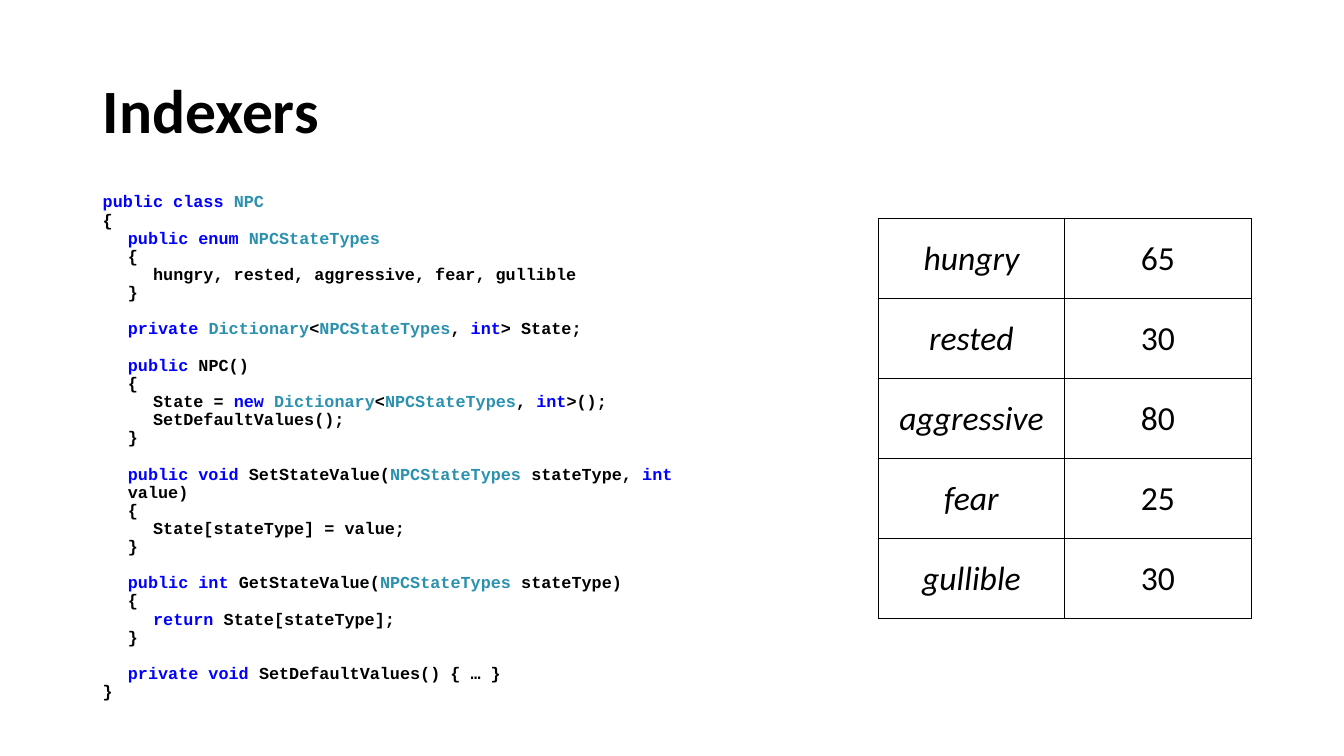
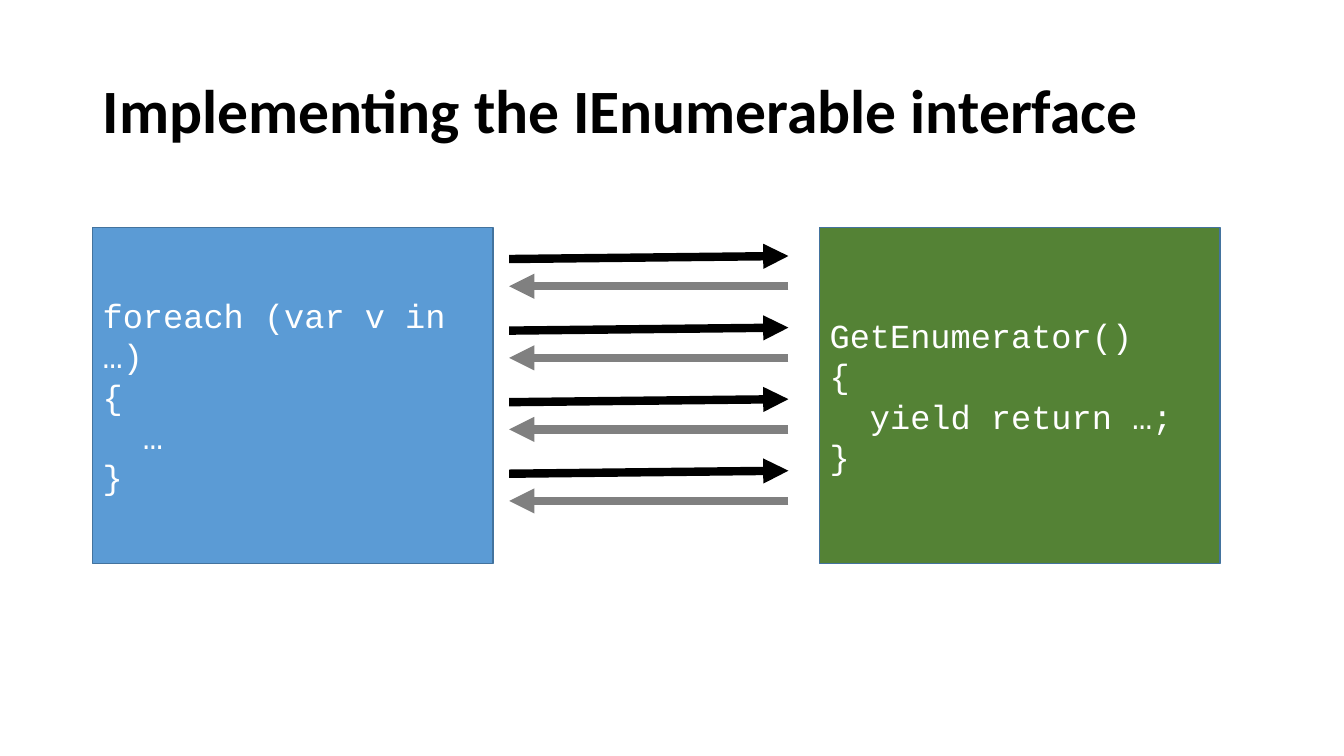
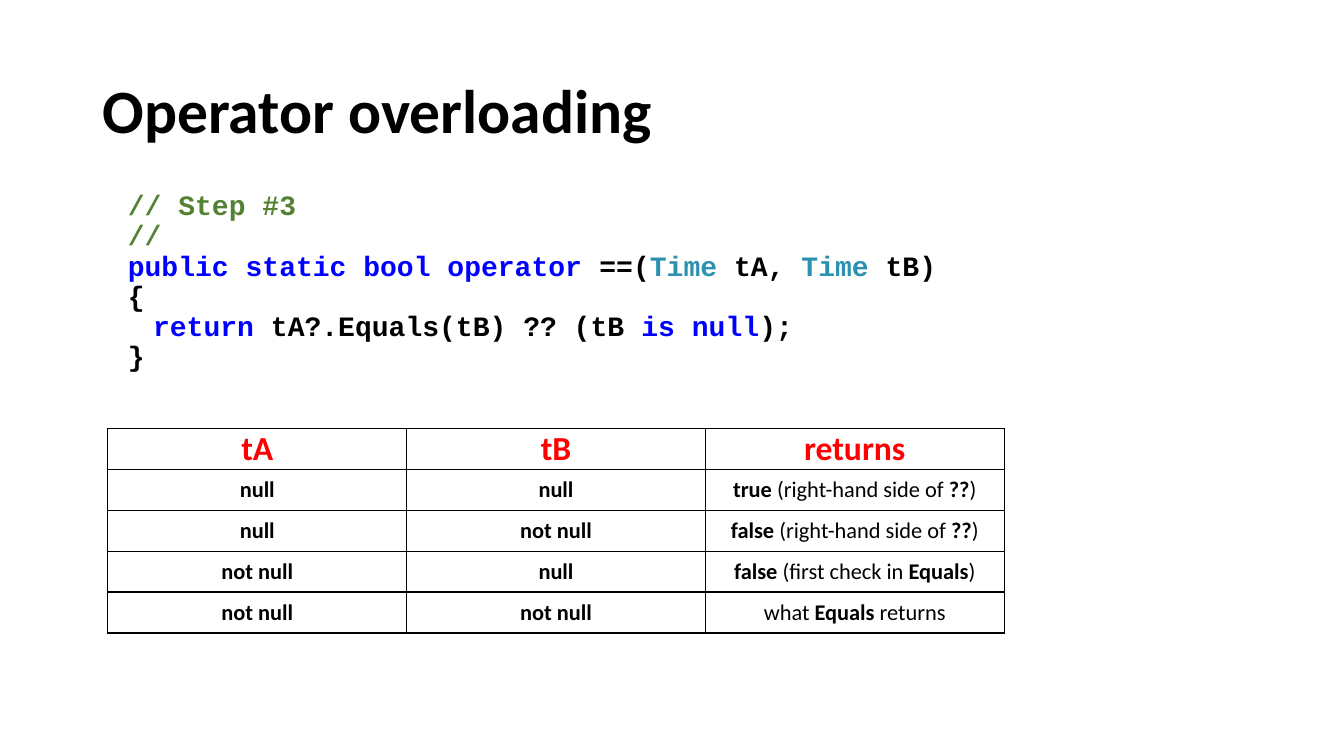
from itertools import groupby

from lxml import etree
from pptx import Presentation
from pptx.dml.color import RGBColor
from pptx.enum.shapes import MSO_CONNECTOR, MSO_SHAPE
from pptx.enum.text import MSO_ANCHOR, PP_ALIGN
from pptx.oxml.ns import qn
from pptx.util import Inches, Pt

RECTANGLE = MSO_SHAPE.RECTANGLE
STRAIGHT = MSO_CONNECTOR.STRAIGHT
TOP, MIDDLE = MSO_ANCHOR.TOP, MSO_ANCHOR.MIDDLE
LEFT, CENTER = PP_ALIGN.LEFT, PP_ALIGN.CENTER

COLORS = {
    "text": "000000", "white": "FFFFFF", "keyword": "0000FF", "type": "2B91AF",
    "comment": "548235", "header": "FF0000", "caller": "5B9BD5",
    "enumerator": "548235", "outline": "43739E", "reply": "808080",
}
BODY_FONT, CODE_FONT = "Calibri", "Courier New"
LINE_SPACING = 0.9
BLANK_LINE = 1.08
INDENT = 0.25
TITLE_BOX = (0.92, 0.4, 11.5, 1.45)

KEYWORDS = set("public private class enum int void new return static bool operator is null".split())
TYPES = {"NPC", "NPCStateTypes", "Dictionary", "Time"}

NPC_CODE = """
public class NPC
{
  public enum NPCStateTypes
  {
    hungry, rested, aggressive, fear, gullible
  }

  private Dictionary<NPCStateTypes, int> State;

  public NPC()
  {
    State = new Dictionary<NPCStateTypes, int>();
    SetDefaultValues();
  }

  public void SetStateValue(NPCStateTypes stateType, int value)
  {
    State[stateType] = value;
  }

  public int GetStateValue(NPCStateTypes stateType)
  {
    return State[stateType];
  }

  private void SetDefaultValues() { … }
}
"""
OPERATOR_CODE = """
  // Step #3
  //
  public static bool operator ==(Time tA, Time tB)
  {
    return tA?.Equals(tB) ?? (tB is null);
  }
"""
CALLER_CODE = "foreach (var v in …)\n{\n  …\n}"
ENUMERATOR_CODE = "GetEnumerator()\n{\n  yield return …;\n}"

STATE_ROWS = [("*hungry*", "65"), ("*rested*", "30"), ("*aggressive*", "80"),
              ("*fear*", "25"), ("*gullible*", "30")]
RESULT_ROWS = [
    ("*tA*", "*tB*", "*returns*"),
    ("*null*", "*null*", "*true* (right-hand side of *??*)"),
    ("*null*", "*not null*", "*false* (right-hand side of *??*)"),
    ("*not null*", "*null*", "*false* (first check in *Equals*)"),
    ("*not null*", "*not null*", "what *Equals* returns"),
]


def rgb(name):
    """Return the named colour."""
    return RGBColor.from_string(COLORS[name])


def inches(box):
    """Convert a sequence of numbers to lengths."""
    return [Inches(value) for value in box]


def add_span(para, text, size, color="text", **formats):
    """Add one formatted run to a paragraph."""
    span = para.add_run()
    span.text = text
    span.font.color.rgb = rgb(color)
    for key, value in {"name": BODY_FONT, "size": Pt(size), **formats}.items():
        setattr(span.font, key, value)


def add_text_box(page, box):
    """Add a wrapping text box and return its frame."""
    frame = page.shapes.add_textbox(*inches(box)).text_frame
    frame.word_wrap = True
    return frame


def add_page(deck, title):
    """Add a blank slide with the shared title style."""
    page = deck.slides.add_slide(deck.slide_layouts[6])
    frame = add_text_box(page, TITLE_BOX)
    frame.vertical_anchor = MIDDLE
    para = frame.paragraphs[0]
    para.line_spacing = LINE_SPACING
    add_span(para, title, 44, bold=True)
    return page


def highlight(line):
    """Split a code line into pairs of colour name and text."""
    if line.startswith("//"):
        return [("comment", line)]
    tokens = ["".join(part) for _, part in groupby(line, str.isalnum)]
    colored = []
    for token, following in zip(tokens, tokens[1:] + [""]):
        color = "text"
        if token in KEYWORDS:
            color = "keyword"
        elif token in TYPES and not following.startswith("("):
            color = "type"
        elif token == " " and colored:
            color = colored[-1][0]
        colored.append((color, token))
    return [(color, "".join(token for _, token in group))
            for color, group in groupby(colored, lambda pair: pair[0])]


def place_listing(page, box, code, size):
    """Place highlighted code, turning its indents into margins and blank lines into spacing."""
    frame = add_text_box(page, box)
    gap = 0
    for number, line in enumerate(code.strip("\n").split("\n")):
        text = line.lstrip()
        if not text:
            gap = size * BLANK_LINE
            continue
        para = frame.add_paragraph() if number else frame.paragraphs[0]
        level = (len(line) - len(text)) // 2
        properties = para._p.get_or_add_pPr()
        properties.set("marL", str(Inches(INDENT * level)))
        properties.set("indent", "0")
        para.line_spacing, para.space_before = LINE_SPACING, Pt(gap)
        gap = 0
        for color, part in highlight(text):
            add_span(para, part, size, color, name=CODE_FONT, bold=True)


def add_borders(cell):
    """Draw a thin line on every side of a table cell."""
    properties = cell._tc.get_or_add_tcPr()
    for side in ("lnL", "lnR", "lnT", "lnB"):
        line = etree.SubElement(properties, qn("a:" + side), w=str(Pt(1)))
        fill = etree.SubElement(line, qn("a:solidFill"))
        etree.SubElement(fill, qn("a:srgbClr"), val=COLORS["text"])


def place_table(page, box, rows, size, emphasis, header=None, margins=(0.1, 0.05)):
    """Place a ruled table whose starred text gets the given emphasis."""
    grid = page.shapes.add_table(len(rows), len(rows[0]), *inches(box)).table
    grid.first_row = grid.horz_banding = False
    side, edge = inches(margins)
    for row, texts in enumerate(rows):
        is_header = header is not None and row == 0
        for column, text in enumerate(texts):
            cell = grid.cell(row, column)
            add_borders(cell)
            cell.fill.background()
            formats = {"margin_left": side, "margin_right": side, "margin_top": edge,
                       "margin_bottom": edge, "vertical_anchor": TOP if is_header else MIDDLE}
            for key, value in formats.items():
                setattr(cell, key, value)
            para = cell.text_frame.paragraphs[0]
            para.alignment = CENTER
            for index, part in enumerate(text.split("*")):
                if part:
                    add_span(para, part, header if is_header else size,
                             "header" if is_header else "text", **{emphasis: index % 2 == 1})


def place_code_block(page, box, code, color):
    """Place a filled rectangle holding plain code."""
    block = page.shapes.add_shape(RECTANGLE, *inches(box))
    block.shadow.inherit = False
    block.fill.solid()
    block.fill.fore_color.rgb = rgb(color)
    block.line.color.rgb = rgb("outline")
    block.line.width = Pt(1)
    frame = block.text_frame
    frame.word_wrap = True
    frame.vertical_anchor = MIDDLE
    for number, line in enumerate(code.split("\n")):
        para = frame.add_paragraph() if number else frame.paragraphs[0]
        para.alignment = LEFT
        add_span(para, line, 24, "white", name=CODE_FONT)


def place_arrow(page, start, end, color):
    """Place a thick arrow pointing at its end."""
    arrow = page.shapes.add_connector(STRAIGHT, *inches(start + end))
    arrow.line.color.rgb = rgb(color)
    arrow.line.width = Pt(6)
    etree.SubElement(arrow.line._get_or_add_ln(), qn("a:tailEnd"), type="triangle")
    etree.SubElement(arrow._element.spPr, qn("a:effectLst"))


def place_exchange(page, box, rounds):
    """Place pairs of call and reply arrows at equal steps down the box."""
    left, top, width, height = box
    right = left + width
    for turn in range(rounds):
        call = top + turn * height / rounds
        reply = call + 0.27
        place_arrow(page, (left, call), (right, call - 0.03), "text")
        place_arrow(page, (right, reply), (left, reply), "reply")


def indexers_page(deck):
    """Build the slide on indexers."""
    page = add_page(deck, "Indexers")
    place_listing(page, (0.92, 1.87, 6.49, 5.18), NPC_CODE, 12)
    place_table(page, (8.71, 2.17, 3.7, 3.97), STATE_ROWS, 24, "italic")


def enumerable_page(deck):
    """Build the slide on enumeration."""
    page = add_page(deck, "Implementing the IEnumerable interface")
    place_code_block(page, (0.92, 2.26, 3.97, 3.33), CALLER_CODE, "caller")
    place_code_block(page, (8.13, 2.26, 3.97, 3.33), ENUMERATOR_CODE, "enumerator")
    place_exchange(page, (5.05, 2.57, 2.77, 2.84), 4)


def operator_page(deck):
    """Build the slide on operators."""
    page = add_page(deck, "Operator overloading")
    place_listing(page, (0.92, 1.85, 11.5, 2.14), OPERATOR_CODE, 20)
    place_table(page, (1.07, 4.25, 8.89, 2.03), RESULT_ROWS, 16, "bold", 24, (0.07, 0))


def main():
    """Build and save the deck."""
    deck = Presentation()
    deck.slide_width, deck.slide_height = inches((13.33, 7.5))
    for build in (indexers_page, enumerable_page, operator_page):
        build(deck)
    deck.save("out.pptx")


if __name__ == "__main__":
    main()
